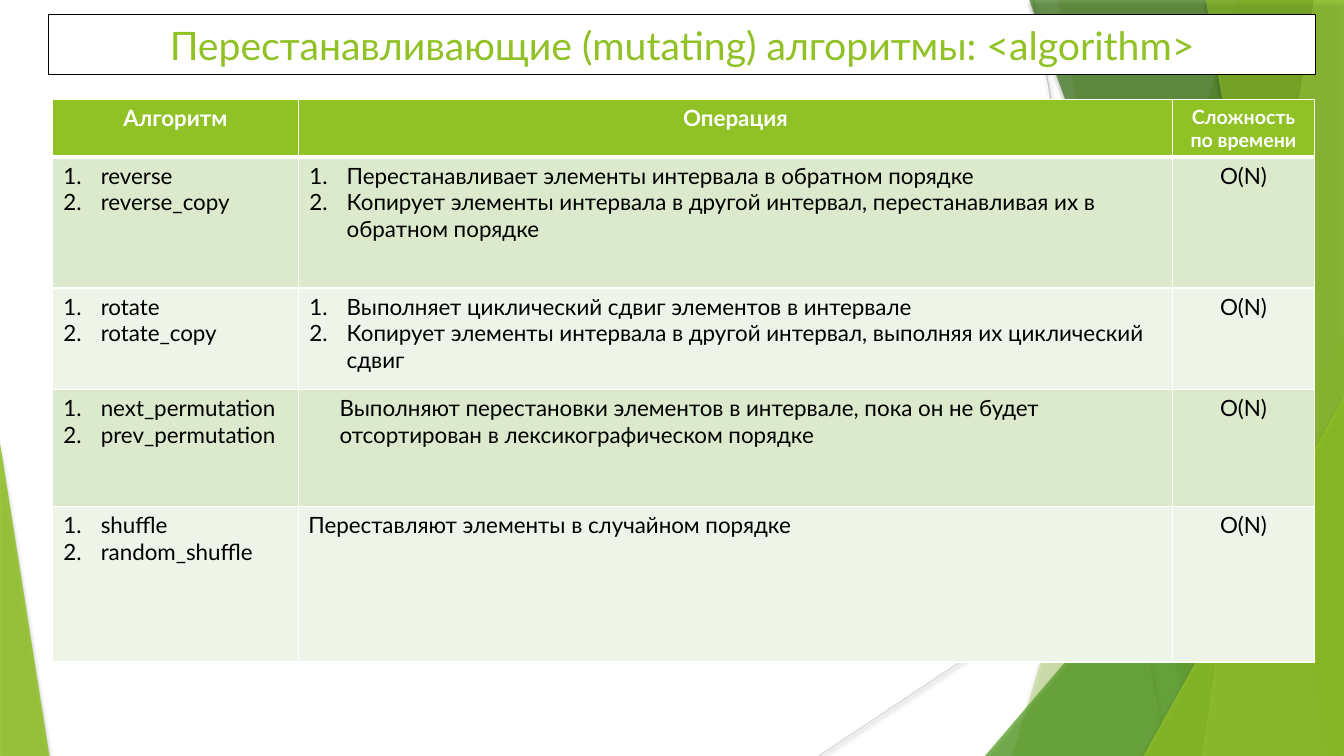
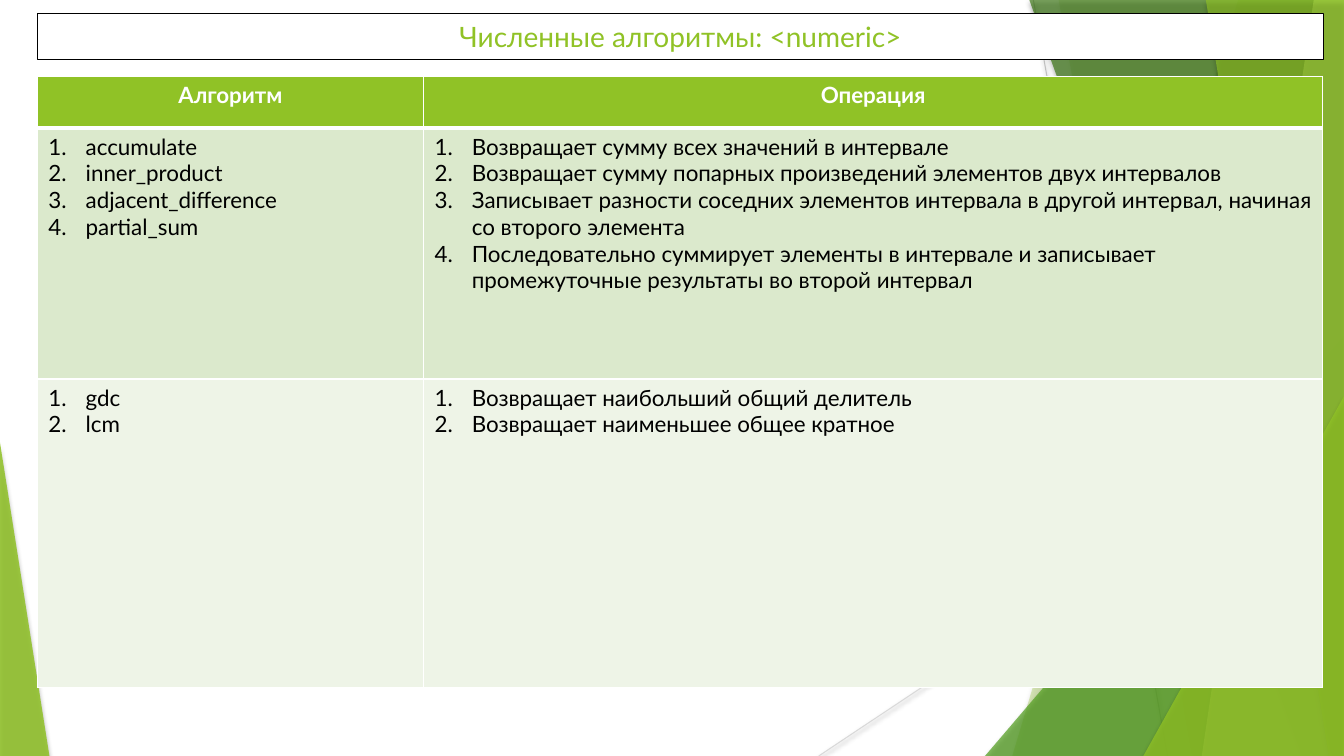
from dataclasses import dataclass

from lxml.etree import SubElement
from pptx import Presentation
from pptx.dml.color import RGBColor as RGB
from pptx.enum.shapes import MSO_CONNECTOR as CONNECTOR, MSO_SHAPE as SHAPE
from pptx.enum.text import MSO_ANCHOR as ANCHOR, MSO_AUTO_SIZE as AUTO_SIZE, PP_ALIGN as ALIGN
from pptx.oxml.ns import qn
from pptx.util import Inches, Pt

WIDTH, HEIGHT = Inches(13.33), Inches(7.5)


@dataclass(frozen=True)
class Theme:
    font: str = "Lato"
    lime: str = "90C226"
    green: str = "54A021"
    forest: str = "3F7819"
    pale_lime: str = "C0E474"
    bands: tuple = ("DBE9CC", "EEF4E7")
    white: str = "FFFFFF"
    black: str = "000000"
    dark_ray: str = "BFBFBF"
    light_ray: str = "D9D9D9"
    body: int = 16
    small: int = 14
    hairline: float = 0.75
    cell_rule: float = 0.96
    header_rule: float = 3


THEME = Theme()


@dataclass(frozen=True)
class Entry:
    lines: tuple
    numbered: bool = False
    align: ALIGN = ALIGN.LEFT
    indent: float = 0
    size: int = THEME.body


def col(percent):
    return round(WIDTH * percent / 100)


def row(percent):
    return round(HEIGHT * percent / 100)


def numbered(*lines):
    return Entry(lines, numbered=True)


def centred(text, size=THEME.body):
    return Entry((text,), align=ALIGN.CENTER, size=size)


def plain(text, indent=0):
    return Entry((text,), indent=indent)


def apply(target, formats):
    for name, value in formats.items():
        setattr(target, name, value)


def add_element(parent, tag, **attributes):
    element = SubElement(parent, qn(tag))
    for name, value in attributes.items():
        element.set(name, str(value))
    return element


def paint(fill, color):
    fill.solid()
    fill.fore_color.rgb = RGB.from_string(color)


def write(paragraph, text, size, color, bold=False):
    run = paragraph.add_run()
    run.text = text
    apply(run.font, {"name": THEME.font, "size": Pt(size), "bold": bold})
    run.font.color.rgb = RGB.from_string(color)


def cast_shadow(effects, distance, opacity):
    shadow = add_element(effects, "a:outerShdw", blurRad=40000, dist=distance,
                         dir=5400000, rotWithShape=0)
    tint = add_element(shadow, "a:srgbClr", val=THEME.black)
    add_element(tint, "a:alpha", val=opacity * 1000)


def add_ray(slide, start, end, color):
    ray = slide.shapes.add_connector(CONNECTOR.STRAIGHT, col(start[0]), row(start[1]),
                                     col(end[0]), row(end[1]))
    ray.line.color.rgb = RGB.from_string(color)
    ray.line.width = Pt(THEME.hairline)
    cast_shadow(add_element(ray.element.spPr, "a:effectLst"), 20000, 38)
    return ray


def finish_facet(facet, color, opacity):
    paint(facet.fill, color)
    properties = facet.element.spPr
    tint = properties.find(qn("a:solidFill"))[0]
    add_element(tint, "a:alpha", val=opacity * 1000)
    facet.line.fill.background()
    facet.shadow.inherit = False
    cast_shadow(properties.find(qn("a:effectLst")), 23000, 35)
    return facet


def add_panel(slide, top, bottom, color, opacity):
    outline = slide.shapes.build_freeform(col(top), 0)
    outline.add_line_segments([(col(100), 0), (col(100), row(100)), (col(bottom), row(100))])
    return finish_facet(outline.convert_to_shape(), color, opacity)


def add_corner(slide, left, right, top, apex, color, opacity):
    corner = slide.shapes.add_shape(SHAPE.ISOSCELES_TRIANGLE, col(left), row(top),
                                    col(right - left), row(100 - top))
    corner.adjustments[0] = apex
    return finish_facet(corner, color, opacity)


def add_backdrop(slide):
    facets = [
        add_ray(slide, (76.89, 0), (86.87, 100), THEME.dark_ray),
        add_ray(slide, (100, 53.73), (60.92, 100), THEME.light_ray),
        add_panel(slide, 92.12, 75.32, THEME.lime, 30),
        add_panel(slide, 78.77, 88.67, THEME.lime, 20),
        add_corner(slide, 73.29, 100, 44.4, 1, THEME.green, 72),
        add_panel(slide, 76.59, 96.85, THEME.forest, 70),
        add_panel(slide, 97.75, 89.42, THEME.pale_lime, 70),
        add_panel(slide, 89.72, 98.87, THEME.lime, 65),
        add_corner(slide, 85.07, 100, 52.4, 1, THEME.lime, 80),
        add_corner(slide, 0, 3.68, 58.53, 0, THEME.lime, 85),
    ]
    layout_tree = slide.slide_layout.shapes.element
    for order, facet in enumerate(facets):
        facet.element.xpath(".//p:cNvPr")[0].set("id", str(100 + order))
        layout_tree.insert(2 + order, facet.element)


def add_title(slide, text, left, top, width, height, size):
    title = slide.shapes.title
    apply(title, {"left": col(left), "top": row(top),
                  "width": col(width), "height": row(height)})
    paint(title.fill, THEME.white)
    title.line.color.rgb = RGB.from_string(THEME.black)
    title.line.width = Pt(THEME.hairline)
    apply(title.text_frame, {"word_wrap": True, "auto_size": AUTO_SIZE.NONE,
                             "vertical_anchor": ANCHOR.MIDDLE})
    heading = title.text_frame.paragraphs[0]
    heading.alignment = ALIGN.CENTER
    write(heading, text, size, THEME.lime)


def add_number(paragraph):
    properties = paragraph._p.get_or_add_pPr()
    properties.set("marL", str(Inches(0.38)))
    properties.set("indent", str(-Inches(0.37)))
    add_element(add_element(properties, "a:buClr"), "a:srgbClr", val=THEME.black)
    add_element(properties, "a:buFont", typeface="+mj-lt")
    add_element(properties, "a:buAutoNum", type="arabicPeriod")


def rule_cell(cell, top, bottom):
    properties = cell._tc.get_or_add_tcPr()
    widths = {"L": THEME.cell_rule, "R": THEME.cell_rule, "T": top, "B": bottom}
    for side, width in widths.items():
        edge = add_element(properties, f"a:ln{side}", w=Pt(width))
        add_element(add_element(edge, "a:solidFill"), "a:srgbClr", val=THEME.white)


def fill_cell(cell, entry, row_index):
    header = row_index == 0
    rule_cell(cell, THEME.header_rule if row_index == 1 else THEME.cell_rule,
              THEME.header_rule if header else THEME.cell_rule)
    paint(cell.fill, THEME.lime if header else THEME.bands[(row_index - 1) % 2])
    frame = cell.text_frame
    for index, line in enumerate(entry.lines):
        paragraph = frame.add_paragraph() if index else frame.paragraphs[0]
        paragraph.alignment = entry.align
        if entry.numbered:
            add_number(paragraph)
        elif entry.indent:
            paragraph._p.get_or_add_pPr().set("marL", str(Inches(entry.indent)))
        write(paragraph, line, entry.size, THEME.white if header else THEME.black, header)


def add_algorithms(slide, left, top, columns, rows, entries):
    table = slide.shapes.add_table(len(rows), len(columns), col(left), row(top),
                                   col(sum(columns)), row(sum(rows))).table
    table.horz_banding = False
    for column, share in zip(table.columns, columns):
        column.width = col(share)
    for line, share in zip(table.rows, rows):
        line.height = row(share)
    for row_index, line in enumerate(entries):
        for column_index, entry in enumerate(line):
            fill_cell(table.cell(row_index, column_index), entry, row_index)


def add_mutating(slide):
    add_title(slide, "Перестанавливающие (mutating) алгоритмы: <algorithm>",
              3.6, 1.87, 94.3, 8, 28)
    linear = centred("O(N)")
    add_algorithms(slide, 3.9, 13.2, (18.3, 65.04, 10.58), (7.33, 17.33, 13.47, 15.47, 20.53), [
        (centred("Алгоритм"), centred("Операция"),
         centred("Сложность по времени", THEME.small)),
        (numbered("reverse", "reverse_copy"),
         numbered("Перестанавливает элементы интервала в обратном порядке",
                  "Копирует элементы интервала в другой интервал, "
                  "перестанавливая их в обратном порядке"), linear),
        (numbered("rotate", "rotate_copy"),
         numbered("Выполняет циклический сдвиг элементов в интервале",
                  "Копирует элементы интервала в другой интервал, "
                  "выполняя их циклический сдвиг"), linear),
        (numbered("next_permutation", "prev_permutation"),
         plain("Выполняют перестановки элементов в интервале, пока он не будет "
               "отсортирован в лексикографическом порядке", 0.31), linear),
        (numbered("shuffle", "random_shuffle"),
         plain("Переставляют элементы в случайном порядке"), linear),
    ])


def add_numeric(slide):
    add_title(slide, "Численные алгоритмы: <numeric>", 2.78, 1.73, 95.72, 6.13, 20)
    add_algorithms(slide, 2.78, 10.13, (28.73, 66.92), (6.8, 33.2, 40.8), [
        (centred("Алгоритм"), centred("Операция")),
        (numbered("accumulate", "inner_product", "adjacent_difference", "partial_sum"),
         numbered("Возвращает сумму всех значений в интервале",
                  "Возвращает сумму попарных произведений элементов двух интервалов",
                  "Записывает разности соседних элементов интервала в другой интервал, "
                  "начиная со второго элемента",
                  "Последовательно суммирует элементы в интервале и записывает "
                  "промежуточные результаты во второй интервал")),
        (numbered("gdc", "lcm"),
         numbered("Возвращает наибольший общий делитель",
                  "Возвращает наименьшее общее кратное")),
    ])


def main():
    deck = Presentation()
    apply(deck, {"slide_width": WIDTH, "slide_height": HEIGHT})
    layout = deck.slide_layouts[5]
    mutating, numeric = (deck.slides.add_slide(layout) for _ in range(2))
    add_backdrop(mutating)
    add_mutating(mutating)
    add_numeric(numeric)
    deck.save("out.pptx")


if __name__ == "__main__":
    main()
